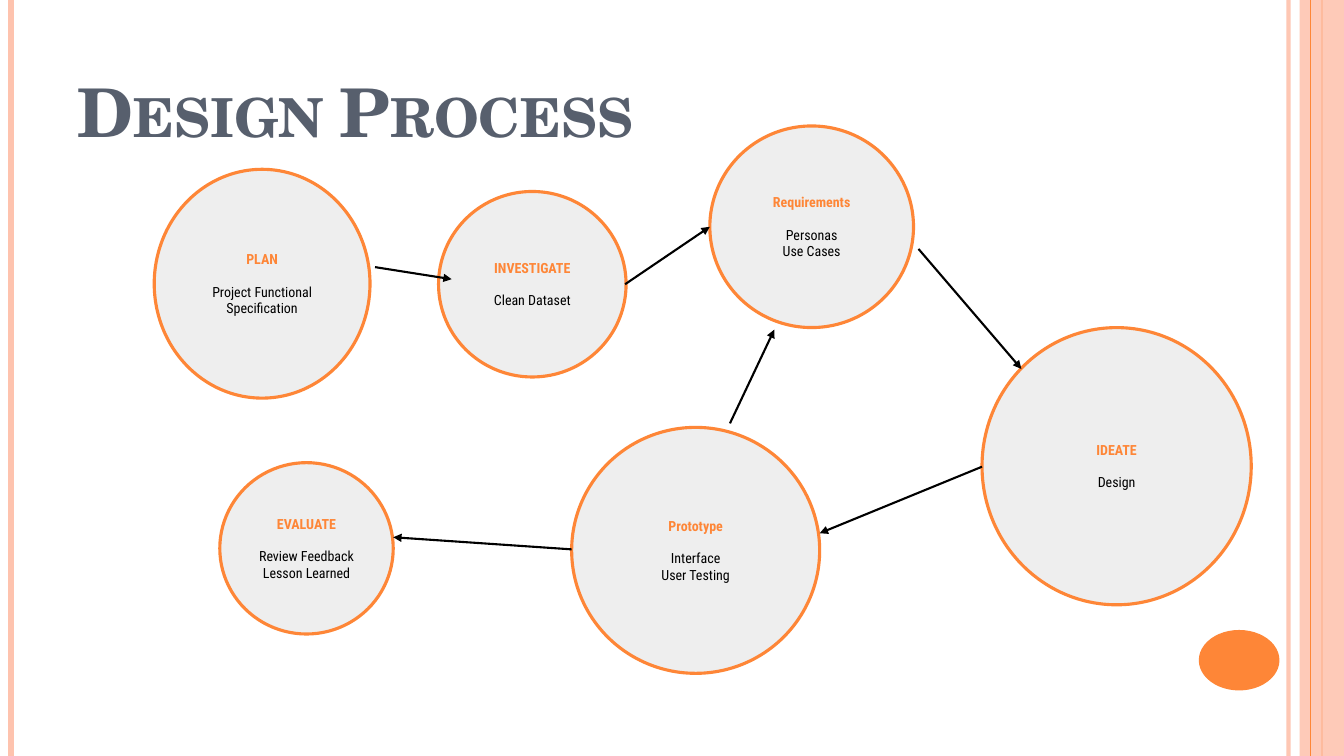
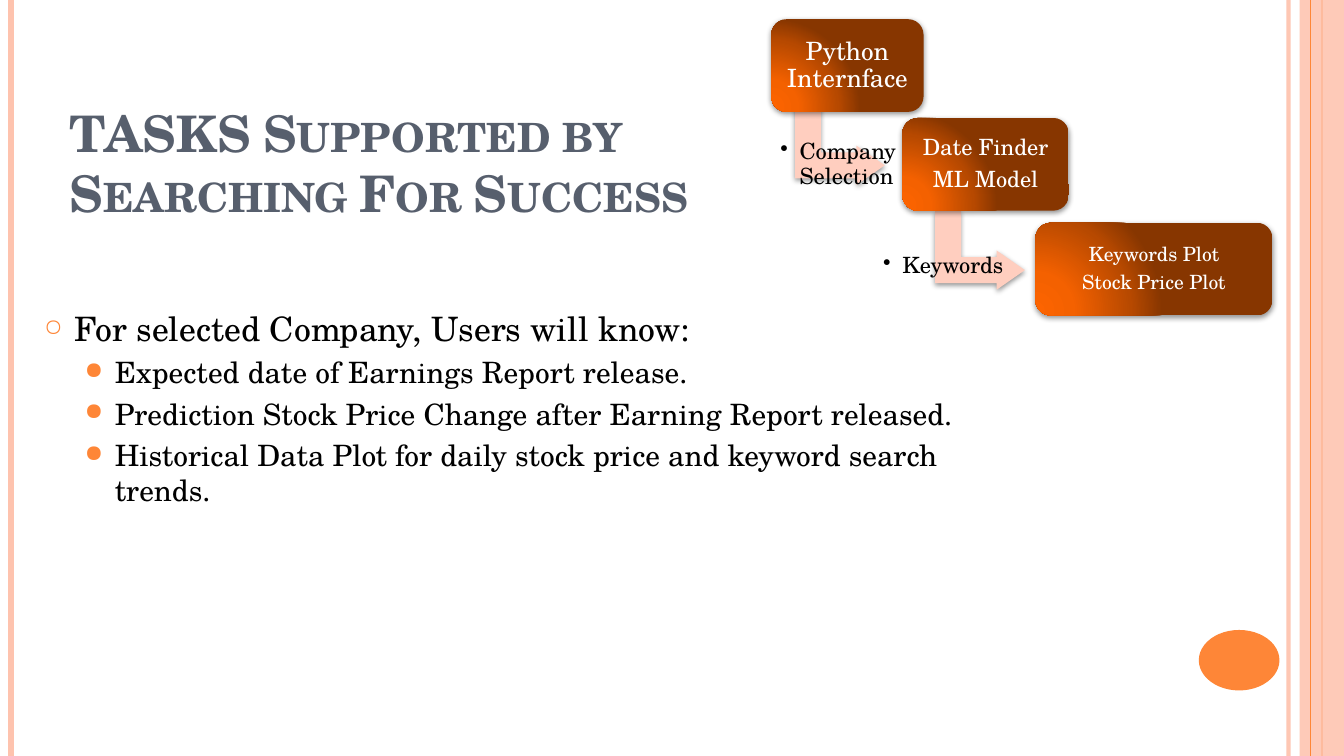
from dataclasses import dataclass

from lxml import etree
from pptx import Presentation
from pptx.dml.color import RGBColor
from pptx.enum import shapes, text
from pptx.oxml import parse_xml
from pptx.oxml.ns import nsdecls, qn
from pptx.util import Emu, Pt

PX = 9144
SLIDE_W, SLIDE_H = 1333, 750


@dataclass(frozen=True)
class Theme:
    accent: str = "FE8637"
    band: str = "FEC3AE"
    heading: str = "575F6D"
    circle: str = "EEEEEE"
    arrow: str = "FFCEBF"
    ink: str = "000000"
    paper: str = "FFFFFF"
    gradient: tuple = ((0, "FD6400"), (30, "F46100"), (75, "B74900"), (100, "873600"))
    serif: str = "TeX Gyre Schola"
    narrow: str = "Roboto Condensed"
    circle_size: int = 10
    caption_size: int = 16


THEME = Theme()

RULES = [
    (1278, THEME.band, 3, 93),
    (11, THEME.band, 4.5, 100),
    (1311, THEME.accent, 1.5, 100),
]
SIDE_BAND = (1289, 0, 44, SLIDE_H)
INNER_RULE = (1300, THEME.accent, 0.75, 100)
PAGE_DOT = (1189, 625, 80, 60)

PROCESS_TITLE = (["Design Process"], (67, 30, 1089, 125), 48)
STAGES = [
    ("PLAN", ["Project Functional Specification"], (153, 168, 214, 227)),
    ("INVESTIGATE", ["Clean Dataset"], (435, 190, 186, 184)),
    ("Requirements", ["Personas", "Use Cases"], (704, 125, 202, 200)),
    ("Prototype", ["Interface", "User Testing"], (567, 424, 246, 244)),
    ("EVALUATE", ["Review Feedback", "Lesson Learned"], (218, 459, 172, 170)),
    ("IDEATE", ["Design"], (974, 325, 267, 275)),
]
FLOWS = [
    ((372, 265), (448, 277)),
    ((620, 282), (704, 225)),
    ((911, 247), (1013, 366)),
    ((974, 463), (813, 529)),
    ((724, 420), (768, 327)),
    ((567, 545), (390, 533)),
]

TASKS_TITLE = (["TASKS Supported by", "Searching For Success"], (59, 101, 1089, 125), 36)
TASKS_BOX = (34, 301, 978, 459)
TASKS = [
    (0, "For selected Company, Users will know:"),
    (1, "Expected date of Earnings Report release."),
    (1, "Prediction Stock Price Change after Earning Report released."),
    (1, "Historical Data Plot for daily stock price and keyword search trends."),
]
TASK_LEVELS = [
    dict(size=24, indent=30, bullet="○", percent=70),
    dict(size=21, indent=70, bullet="●", percent=80),
]
STEP_H = 92
STEPS = [
    (["Python Internface"], 18, (765, 19, 151)),
    (["Date Finder", "ML Model"], 16, (895, 117, 165)),
    (["Keywords Plot", "Stock Price Plot"], 14, (1027, 221, 235)),
]
ARROW_W, ARROW_H = 78, 89
HANDOFFS = [
    ("Company Selection", (767, 126, 169, 75), (794, 100)),
    ("Keywords", (869, 227, 170, 75), (933, 204)),
]


def px(*values):
    return [Emu(round(value * PX)) for value in values]


def set_alpha(holder, percent):
    if percent < 100:
        color = next(holder.iter(qn("a:srgbClr")))
        etree.SubElement(color, qn("a:alpha"), val=str(percent * 1000))


def add_shape(page, kind, frame, fill, line=None):
    shape = page.shapes.add_shape(kind, *px(*frame))
    shape.shadow.inherit = False
    shape.fill.solid()
    shape.fill.fore_color.rgb = RGBColor.from_string(fill)
    if line:
        shape.line.color.rgb = RGBColor.from_string(line)
        shape.line.width = Pt(2.25)
    else:
        shape.line.fill.background()
    return shape


def add_line(page, start, end, color, width, alpha=100, arrow=False):
    line = page.shapes.add_connector(shapes.MSO_CONNECTOR.STRAIGHT, *px(*start, *end))
    line.line.color.rgb = RGBColor.from_string(color)
    line.line.width = Pt(width)
    properties = line.element.spPr
    outline = properties.find(qn("a:ln"))
    set_alpha(outline, alpha)
    if arrow:
        etree.SubElement(outline, qn("a:tailEnd"), type="triangle")
    etree.SubElement(properties, qn("a:effectLst"))
    return line


def add_span(para, words, size, color, font=THEME.serif, bold=False):
    span = para.add_run()
    span.text = words
    span.font.size = Pt(size)
    span.font.name = font
    span.font.bold = bold
    span.font.color.rgb = RGBColor.from_string(color)
    return span


def set_frame(box, inset, anchor=text.MSO_ANCHOR.MIDDLE):
    frame = box.text_frame
    frame.word_wrap = True
    frame.auto_size = text.MSO_AUTO_SIZE.NONE
    frame.vertical_anchor = anchor
    if inset:
        side = px(inset)[0]
        frame.margin_left = frame.margin_right = side
        frame.margin_top = frame.margin_bottom = side
    return frame


def next_para(frame, index):
    return frame.add_paragraph() if index else frame.paragraphs[0]


def set_bullet(para, mark, indent, hang, color, percent=100):
    properties = para._p.get_or_add_pPr()
    left, offset = px(indent, -hang)
    properties.set("marL", str(left))
    properties.set("indent", str(offset))
    tint = etree.SubElement(properties, qn("a:buClr"))
    etree.SubElement(tint, qn("a:srgbClr"), val=color)
    etree.SubElement(properties, qn("a:buSzPct"), val=str(percent * 1000))
    etree.SubElement(properties, qn("a:buChar"), char=mark)


def add_soft_shadow(shape):
    effects = shape.element.spPr.find(qn("a:effectLst"))
    shadow = etree.SubElement(
        effects, qn("a:outerShdw"), blurRad=str(Pt(4)), dist=str(Pt(1.6)),
        dir="5400000", rotWithShape="0")
    color = etree.SubElement(shadow, qn("a:srgbClr"), val=THEME.ink)
    etree.SubElement(color, qn("a:alpha"), val="42000")


def set_glow_fill(shape):
    stops = "".join(
        f'<a:gs pos="{place * 1000}"><a:srgbClr val="{color}"/></a:gs>'
        for place, color in THEME.gradient)
    gradient = parse_xml(
        f'<a:gradFill {nsdecls("a")} rotWithShape="1"><a:gsLst>{stops}</a:gsLst>'
        '<a:path path="circle"><a:fillToRect l="5000" t="100000" r="120000" b="10000"/>'
        '</a:path></a:gradFill>')
    properties = shape.element.spPr
    properties.replace(properties.find(qn("a:solidFill")), gradient)


def add_page(deck, layout, title):
    lines, frame, size = title
    page = deck.slides.add_slide(layout)
    box = page.shapes.title
    box.left, box.top, box.width, box.height = px(*frame)
    para = set_frame(box, None, text.MSO_ANCHOR.BOTTOM).paragraphs[0]
    para.alignment = text.PP_ALIGN.LEFT
    for index, words in enumerate(lines):
        if index:
            para.add_line_break()
        span = add_span(para, words, size, THEME.heading, bold=True)
        span.font._element.set("cap", "small")
    return page


def decorate_layout(page, layout):
    def add_rule(x, color, width, alpha):
        return add_line(page, (x, 0), (x, SLIDE_H), color, width, alpha)

    parts = [add_rule(*rule) for rule in RULES]
    band = add_shape(page, shapes.MSO_SHAPE.RECTANGLE, SIDE_BAND, THEME.band)
    set_alpha(band.element.spPr, 87)
    parts += [band, add_rule(*INNER_RULE)]
    parts.append(add_shape(page, shapes.MSO_SHAPE.OVAL, PAGE_DOT, THEME.accent))
    for part in parts:
        layout.shapes.element.append(part.element)


def draw_process(page):
    for name, outputs, frame in STAGES:
        circle = add_shape(page, shapes.MSO_SHAPE.OVAL, frame, THEME.circle, THEME.accent)
        body = set_frame(circle, 10)
        for index, words in enumerate([name, *outputs]):
            para = next_para(body, index)
            para.alignment = text.PP_ALIGN.CENTER
            if index == 1:
                para.space_before = Pt(11)
            add_span(para, words, THEME.circle_size, THEME.ink if index else THEME.accent,
                     THEME.narrow, bold=index == 0)
    for start, end in FLOWS:
        add_line(page, start, end, THEME.ink, 1.5, arrow=True)


def draw_tasks(page):
    body = set_frame(page.shapes.add_textbox(*px(*TASKS_BOX)), None, text.MSO_ANCHOR.TOP)
    for index, (level, words) in enumerate(TASKS):
        style = TASK_LEVELS[level]
        para = next_para(body, index)
        para.level = level
        set_bullet(para, style["bullet"], style["indent"], 30, THEME.accent, style["percent"])
        if index:
            para.space_before = Pt(style["size"] * 0.2)
        add_span(para, words, style["size"], THEME.ink)


def draw_step(page, lines, size, place):
    box = add_shape(page, shapes.MSO_SHAPE.ROUNDED_RECTANGLE, (*place, STEP_H),
                    THEME.gradient[0][1])
    set_glow_fill(box)
    add_soft_shadow(box)
    body = set_frame(box, 7)
    for index, words in enumerate(lines):
        para = next_para(body, index)
        para.alignment = text.PP_ALIGN.CENTER
        para.line_spacing = 0.9
        if index:
            para.space_before = Pt(round(size * 0.35, 1))
        add_span(para, words, size, THEME.paper)


def draw_handoff_arrow(page, corner):
    arrow = add_shape(page, shapes.MSO_SHAPE.BENT_UP_ARROW, (*corner, ARROW_W, ARROW_H),
                      THEME.arrow)
    arrow.rotation = 90
    for index, value in enumerate((0.33, 0.25, 0.36)):
        arrow.adjustments[index] = value
    add_soft_shadow(arrow)


def draw_caption(page, words, frame):
    para = set_frame(page.shapes.add_textbox(*px(*frame)), 7).paragraphs[0]
    set_bullet(para, "•", 19, 19, THEME.ink)
    para.line_spacing = 0.9
    add_span(para, words, THEME.caption_size, THEME.ink)


def draw_staircase(page):
    for index, step in enumerate(STEPS):
        if index < len(HANDOFFS):
            words, frame, corner = HANDOFFS[index]
            draw_handoff_arrow(page, corner)
        draw_step(page, *step)
        if index < len(HANDOFFS):
            draw_caption(page, words, frame)


def main():
    deck = Presentation()
    deck.slide_width, deck.slide_height = px(SLIDE_W, SLIDE_H)
    layout = deck.slide_layouts[5]
    process = add_page(deck, layout, PROCESS_TITLE)
    decorate_layout(process, layout)
    draw_process(process)
    tasks = add_page(deck, layout, TASKS_TITLE)
    draw_tasks(tasks)
    draw_staircase(tasks)
    deck.save("out.pptx")


if __name__ == "__main__":
    main()
